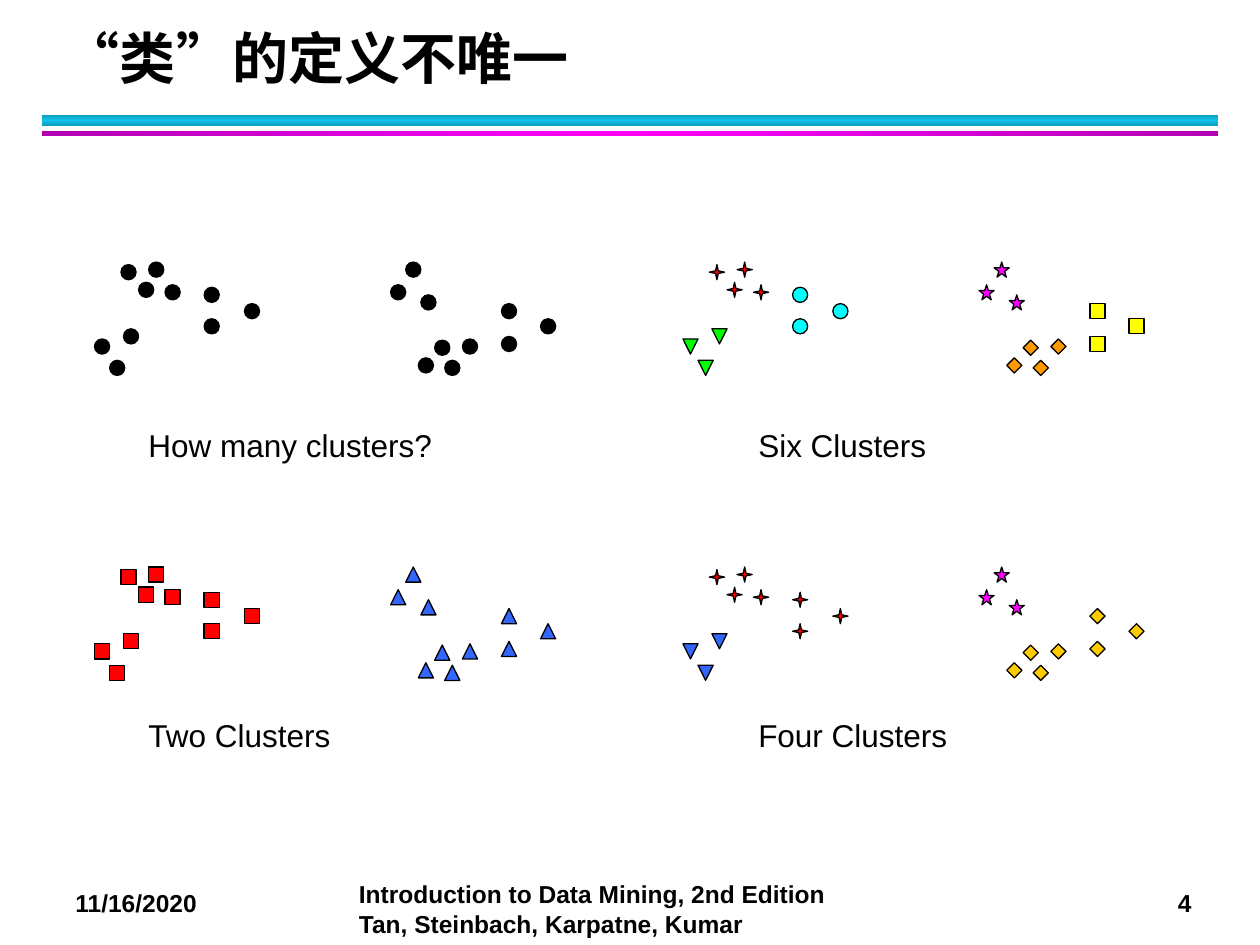
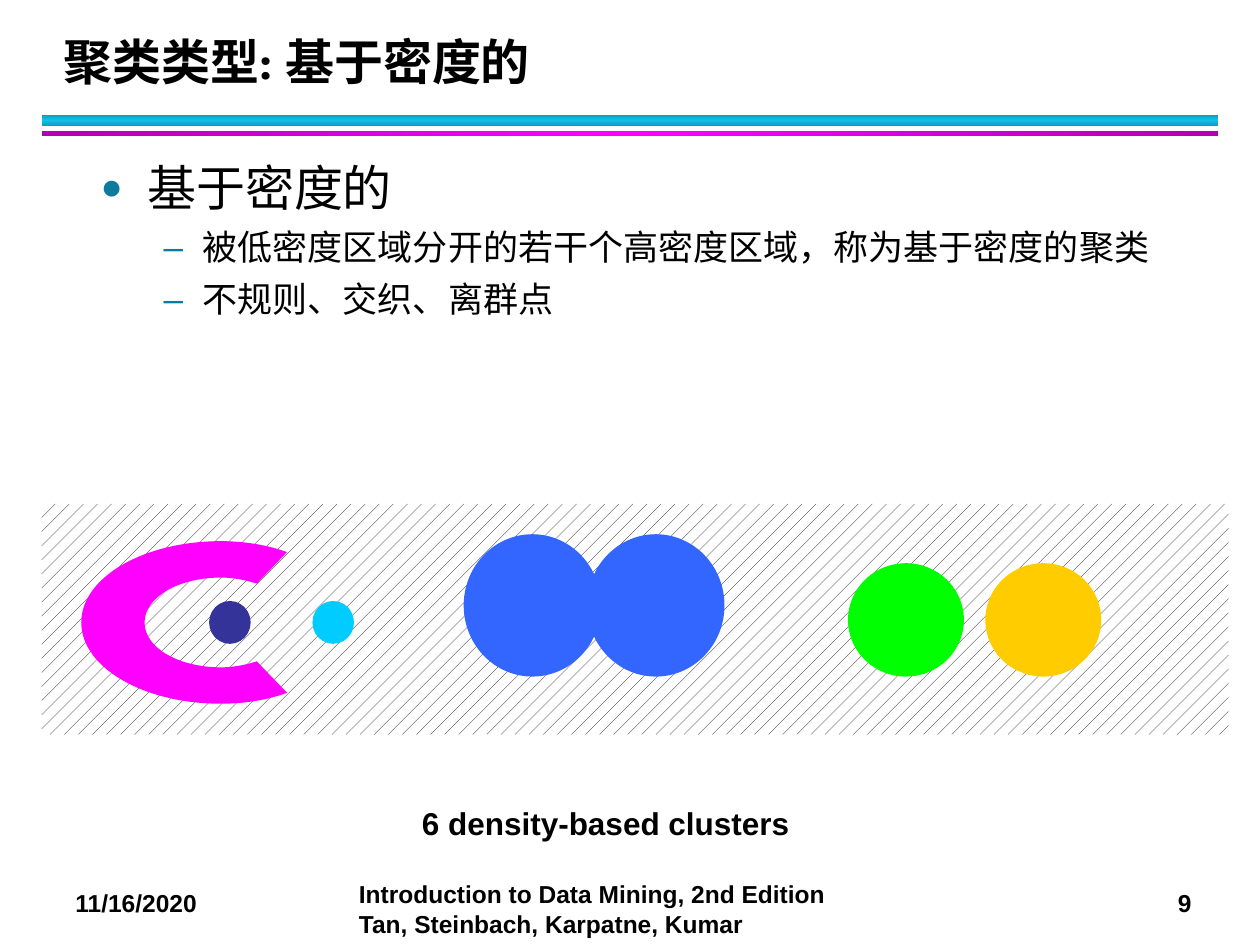
"""Build two slides on the ambiguity of clusters and on density-based clustering."""

import copy
from dataclasses import dataclass

import lxml.etree
import pptx
import pptx.dml.color
import pptx.enum.dml
import pptx.enum.lang
import pptx.enum.shapes
import pptx.enum.text
import pptx.oxml.ns
import pptx.presentation
import pptx.shapes.autoshape
import pptx.slide
import pptx.text.text
import pptx.util
from pptx.util import Inches

SHAPE = pptx.enum.shapes.MSO_SHAPE
ANCHOR = pptx.enum.text.MSO_ANCHOR
qn = pptx.oxml.ns.qn

COLOURS = {
    "black": "000000",
    "white": "FFFFFF",
    "band edge": "0E9BBA",
    "band centre": "12C2E9",
    "rule edge": "B200B2",
    "magenta": "FF00FF",
    "bullet": "0C7B9C",
    "red": "FF0000",
    "green": "00FF00",
    "blue": "3366FF",
    "cyan": "00FFFF",
    "sky": "00CCFF",
    "navy": "333399",
    "yellow": "FFFF00",
    "orange": "FF9900",
    "gold": "FFCC00",
}


@dataclass(frozen=True)
class Box:
    left: float
    top: float
    width: float
    height: float

    def lengths(self) -> list[pptx.util.Length]:
        return [Inches(value) for value in (self.left, self.top, self.width, self.height)]


@dataclass(frozen=True)
class TextStyle:
    size: int
    bold: bool = False
    font: str = "Arial"
    chinese: bool = False


@dataclass(frozen=True)
class Marker:
    preset: pptx.enum.shapes.MSO_SHAPE
    colour: str
    flipped: bool = False


@dataclass(frozen=True)
class Panel:
    caption: str
    left: float
    top: float
    caption_left: float
    caption_top: float
    markers: tuple[Marker, ...]


@dataclass(frozen=True)
class Disc:
    box: Box
    colour: str


@dataclass(frozen=True)
class Bullet:
    text: str
    level: int
    character: str
    size: int
    margin: float
    hanging: float
    bullet_percent: int


FOOTER = TextStyle(14, bold=True)
CAPTION = TextStyle(18)
MARKER_SIZE = 0.12

POINT_GROUPS = (
    ((0.21, 0.02), (0.43, 0), (0.35, 0.16), (0.56, 0.18)),
    ((0.23, 0.53), (0, 0.61), (0.12, 0.78)),
    ((0.87, 0.2), (1.19, 0.33), (0.87, 0.45)),
    ((2.92, 0.61), (2.57, 0.76), (2.78, 0.78), (2.7, 0.62)),
    ((2.59, 0.26), (2.35, 0.18), (2.47, 0)),
    ((3.23, 0.59), (3.54, 0.45), (3.23, 0.33)),
)

DOT = Marker(SHAPE.OVAL, "black")
SQUARE = Marker(SHAPE.RECTANGLE, "red")
TRIANGLE = Marker(SHAPE.ISOSCELES_TRIANGLE, "blue")
SPARK = Marker(SHAPE.STAR_4_POINT, "red")
STAR = Marker(SHAPE.STAR_5_POINT, "magenta")
GOLD_DIAMOND = Marker(SHAPE.DIAMOND, "gold")

LEFT, RIGHT, UPPER, LOWER = 0.75, 5.42, 2.08, 4.5
CAPTION_LEFT, CAPTION_RIGHT, CAPTION_UPPER, CAPTION_LOWER = 1.08, 5.92, 3.33, 5.63
PANELS = (
    Panel("How many clusters?", LEFT, UPPER, CAPTION_LEFT, CAPTION_UPPER, (DOT,) * 6),
    Panel("Six Clusters", RIGHT, UPPER, CAPTION_RIGHT, CAPTION_UPPER, (
        SPARK,
        Marker(SHAPE.ISOSCELES_TRIANGLE, "green", True),
        Marker(SHAPE.OVAL, "cyan"),
        Marker(SHAPE.DIAMOND, "orange"),
        STAR,
        Marker(SHAPE.RECTANGLE, "yellow"),
    )),
    Panel("Two Clusters", LEFT, LOWER, CAPTION_LEFT, CAPTION_LOWER,
          (SQUARE,) * 3 + (TRIANGLE,) * 3),
    Panel("Four Clusters", RIGHT, LOWER, CAPTION_RIGHT, CAPTION_LOWER, (
        SPARK,
        Marker(SHAPE.FLOWCHART_EXTRACT, "blue", True),
        SPARK,
        GOLD_DIAMOND,
        STAR,
        GOLD_DIAMOND,
    )),
)

BULLETS = (
    Bullet("基于密度的", 0, "●", 28, 0.37, 0.37, 75),
    Bullet("被低密度区域分开的若干个高密度区域，称为基于密度的聚类", 1, "–", 20, 0.81, 0.31, 100),
    Bullet("不规则、交织、离群点", 1, "–", 20, 0.81, 0.31, 100),
)

CRESCENT_BOX = Box(1.11, 3.83, 1.29, 2.22)
CRESCENT_GRID = (134, 212)
CRESCENT_START = (35, 133)
CRESCENT_SEGMENTS = (
    ((32, 125), (30, 115), (30, 106)),
    ((30, 74), (46, 48), (67, 48)),
    ((88, 48), (104, 74), (104, 106)),
    ((104, 115), (102, 125), (99, 133)),
    ((125, 156),),
    ((131, 141), (134, 123), (134, 106)),
    ((134, 47), (104, 0), (67, 0)),
    ((30, 0), (0, 47), (0, 106)),
    ((0, 123), (3, 141), (9, 156)),
    (CRESCENT_START,),
)
DISCS = (
    Disc(Box(2.48, 4.77, 0.33, 0.34), "sky"),
    Disc(Box(6.73, 4.47, 0.92, 0.9), "green"),
    Disc(Box(7.82, 4.47, 0.92, 0.9), "gold"),
    Disc(Box(3.68, 4.24, 1.09, 1.13), "blue"),
    Disc(Box(4.66, 4.24, 1.09, 1.13), "blue"),
)
INNER_DISC = Disc(Box(1.66, 4.77, 0.33, 0.34), "navy")


def colour(name: str) -> pptx.dml.color.RGBColor:
    return pptx.dml.color.RGBColor.from_string(COLOURS[name])


def paint(shape: pptx.shapes.autoshape.Shape, fill: str, outlined: bool = False) -> None:
    shape.shadow.inherit = False
    shape.fill.solid()
    shape.fill.fore_color.rgb = colour(fill)
    if outlined:
        shape.line.color.rgb = colour("black")
        shape.line.width = pptx.util.Pt(0.75)
    else:
        shape.line.fill.background()


def format_runs(paragraph: pptx.text.text._Paragraph, style: TextStyle) -> None:
    for run in paragraph.runs:
        run.font.size = pptx.util.Pt(style.size)
        run.font.bold = style.bold
        run.font.name = style.font
        run.font.color.rgb = colour("black")
        if style.chinese:
            run.font.language_id = pptx.enum.lang.MSO_LANGUAGE_ID.SIMPLIFIED_CHINESE


def add_text(slide: pptx.slide.Slide, box: Box, text: str, style: TextStyle,
             wrap: bool = True) -> pptx.text.text.TextFrame:
    text_frame = slide.shapes.add_textbox(*box.lengths()).text_frame
    text_frame.word_wrap = wrap
    text_frame.text = text
    format_runs(text_frame.paragraphs[0], style)
    return text_frame


def add_gradient_band(slide: pptx.slide.Slide, box: Box, edge: str, centre: str, angle: int) -> None:
    band = slide.shapes.add_shape(SHAPE.RECTANGLE, *box.lengths())
    band.shadow.inherit = False
    band.line.fill.background()
    band.fill.gradient()
    band.fill.gradient_angle = angle
    stop_list = band._element.spPr.find(".//" + qn("a:gsLst"))
    stop_list.insert(1, copy.deepcopy(stop_list[0]))
    for stop, name, position in zip(band.fill.gradient_stops, (edge, centre, edge), (0, 0.5, 1)):
        stop.color.rgb = colour(name)
        stop.position = position


def add_base_slide(presentation: pptx.presentation.Presentation, title: str,
                   title_size: int, number: int) -> pptx.slide.Slide:
    slide = presentation.slides.add_slide(presentation.slide_layouts[6])
    add_gradient_band(slide, Box(0.33, 0.91, 9.34, 0.09), "band edge", "band centre", 90)
    add_gradient_band(slide, Box(0.33, 1.04, 9.34, 0.04), "rule edge", "magenta", 0)
    add_text(slide, Box(0.5, 7, 1.33, 0.34), "11/16/2020", FOOTER)
    add_text(slide, Box(9.25, 7, 0.44, 0.34), str(number), FOOTER, wrap=False)
    add_text(slide, Box(2.75, 6.93, 4.08, 0.57),
             "Introduction to Data Mining, 2nd Edition Tan, Steinbach, Karpatne, Kumar", FOOTER)
    title_frame = add_text(slide, Box(0.41, 0.17, 9.06, 0.6), title,
                           TextStyle(title_size, True, "Karla", True))
    title_frame.vertical_anchor = ANCHOR.BOTTOM
    title_frame.paragraphs[0].line_spacing = pptx.util.Pt(36)
    return slide


def add_marker(slide: pptx.slide.Slide, marker: Marker, left: float, top: float) -> None:
    box = Box(left, top, MARKER_SIZE, MARKER_SIZE)
    shape = slide.shapes.add_shape(marker.preset, *box.lengths())
    paint(shape, marker.colour, outlined=True)
    if marker.preset == SHAPE.STAR_4_POINT:
        shape.adjustments[0] = 0.125
    if marker.flipped:
        shape._element.spPr.find(qn("a:xfrm")).set("flipV", "1")


def add_panel(slide: pptx.slide.Slide, panel: Panel) -> None:
    for points, marker in zip(POINT_GROUPS, panel.markers):
        for x, y in points:
            add_marker(slide, marker, panel.left + x, panel.top + y)
    add_text(slide, Box(panel.caption_left, panel.caption_top, 2.5, 0.4), panel.caption, CAPTION)


def add_bullets(slide: pptx.slide.Slide, box: Box, bullets: tuple[Bullet, ...]) -> None:
    text_frame = slide.shapes.add_textbox(*box.lengths()).text_frame
    text_frame.word_wrap = True
    for index, bullet in enumerate(bullets):
        paragraph = text_frame.add_paragraph() if index else text_frame.paragraphs[0]
        paragraph.text = bullet.text
        paragraph.level = bullet.level
        paragraph.line_spacing = 0.9
        paragraph.space_after = pptx.util.Pt(4)
        if index:
            paragraph.space_before = pptx.util.Pt(bullet.size * 0.2)
        properties = paragraph._p.get_or_add_pPr()
        properties.set("marL", str(Inches(bullet.margin)))
        properties.set("indent", str(-Inches(bullet.hanging)))
        bullet_colour = lxml.etree.SubElement(properties, qn("a:buClr"))
        lxml.etree.SubElement(bullet_colour, qn("a:srgbClr"), val=COLOURS["bullet"])
        lxml.etree.SubElement(properties, qn("a:buSzPct"), val=str(bullet.bullet_percent * 1000))
        lxml.etree.SubElement(properties, qn("a:buFont"), typeface="Arial")
        lxml.etree.SubElement(properties, qn("a:buChar"), char=bullet.character)
        format_runs(paragraph, TextStyle(bullet.size, chinese=True))


def add_crescent(slide: pptx.slide.Slide) -> None:
    builder = slide.shapes.build_freeform(*CRESCENT_START)
    builder.add_line_segments([segment[-1] for segment in CRESCENT_SEGMENTS])
    crescent = builder.convert_to_shape()
    crescent.left, crescent.top, crescent.width, crescent.height = CRESCENT_BOX.lengths()
    crescent.rotation = 270
    paint(crescent, "magenta")
    outline = crescent._element.spPr.find(".//" + qn("a:path"))
    outline.clear()
    for name, size in zip("wh", CRESCENT_GRID):
        outline.set(name, str(size))
    steps = [("a:moveTo", (CRESCENT_START,))]
    steps += [("a:cubicBezTo" if len(points) == 3 else "a:lnTo", points)
              for points in CRESCENT_SEGMENTS]
    for tag, points in steps + [("a:close", ())]:
        step = lxml.etree.SubElement(outline, qn(tag))
        for x, y in points:
            lxml.etree.SubElement(step, qn("a:pt"), x=str(x), y=str(y))


def add_disc(slide: pptx.slide.Slide, disc: Disc) -> None:
    paint(slide.shapes.add_shape(SHAPE.OVAL, *disc.box.lengths()), disc.colour)


def add_noise_field(slide: pptx.slide.Slide, box: Box) -> None:
    field = slide.shapes.add_shape(SHAPE.RECTANGLE, *box.lengths())
    field.shadow.inherit = False
    field.line.fill.background()
    field.fill.patterned()
    field.fill.pattern = pptx.enum.dml.MSO_PATTERN.PERCENT_10
    field.fill.fore_color.rgb = colour("black")
    field.fill.back_color.rgb = colour("white")


def main() -> None:
    presentation = pptx.Presentation()
    presentation.slide_width, presentation.slide_height = Inches(10), Inches(7.5)
    ambiguity_slide = add_base_slide(presentation, "“类”的定义不唯一", 32, 4)
    for panel in PANELS:
        add_panel(ambiguity_slide, panel)
    density_slide = add_base_slide(presentation, "聚类类型: 基于密度的", 28, 9)
    add_bullets(density_slide, Box(0.7, 1.25, 8.75, 5.59), BULLETS)
    add_noise_field(density_slide, Box(0.33, 4, 9.42, 1.83))
    add_disc(density_slide, INNER_DISC)
    add_crescent(density_slide)
    for disc in DISCS:
        add_disc(density_slide, disc)
    add_text(density_slide, Box(3.25, 6.33, 3.5, 0.4), "6 density-based clusters",
             TextStyle(18, bold=True))
    presentation.save("out.pptx")


if __name__ == "__main__":
    main()
